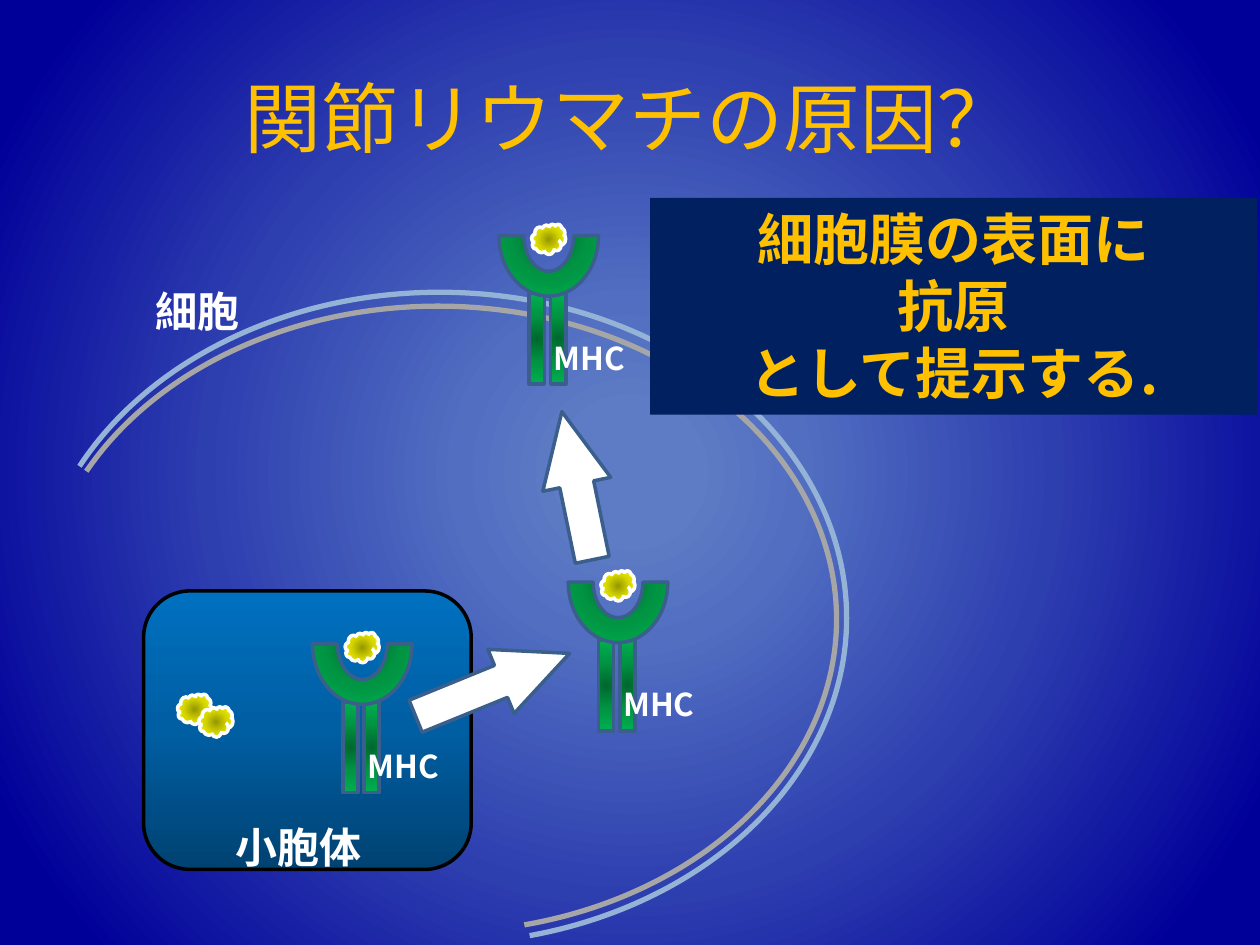
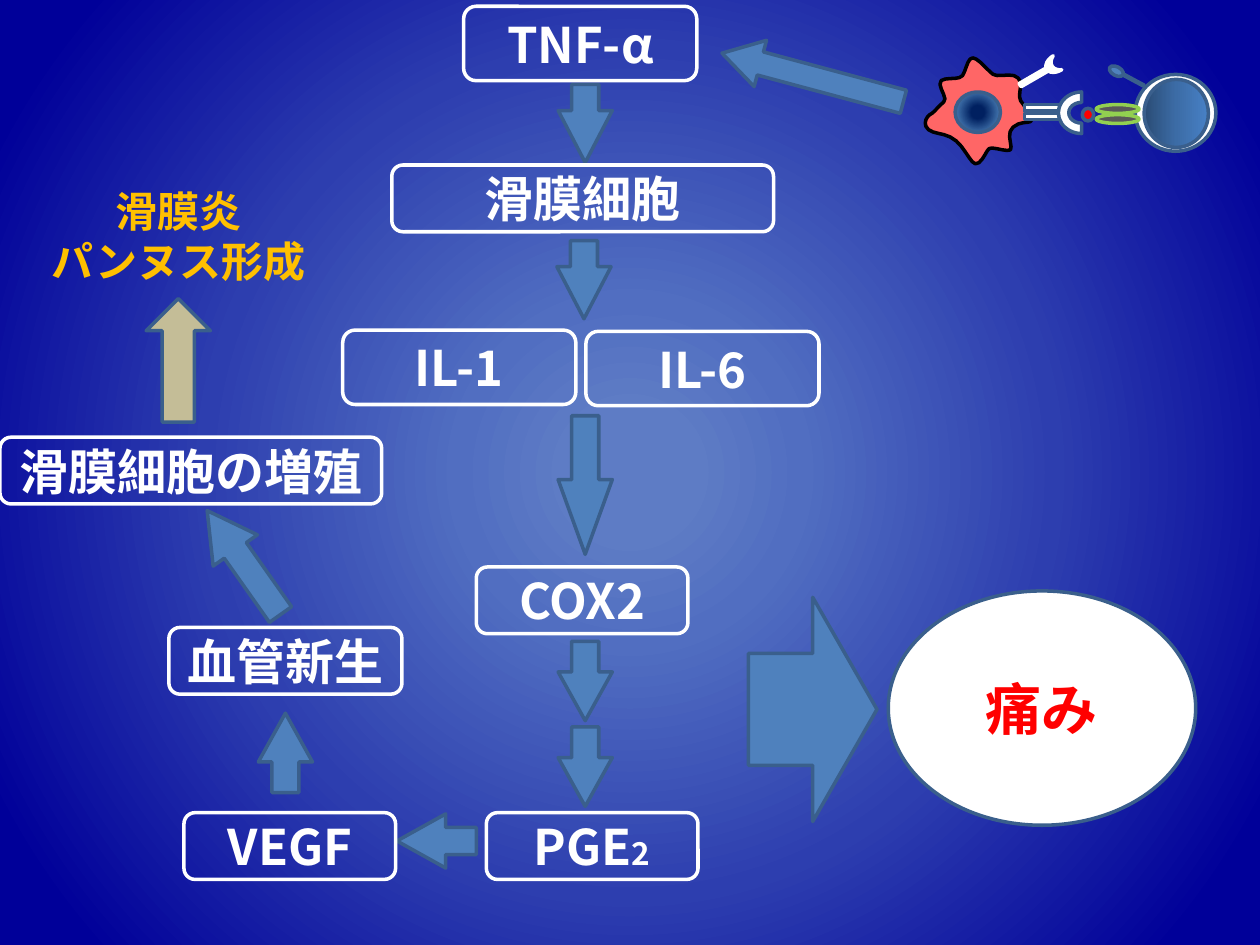
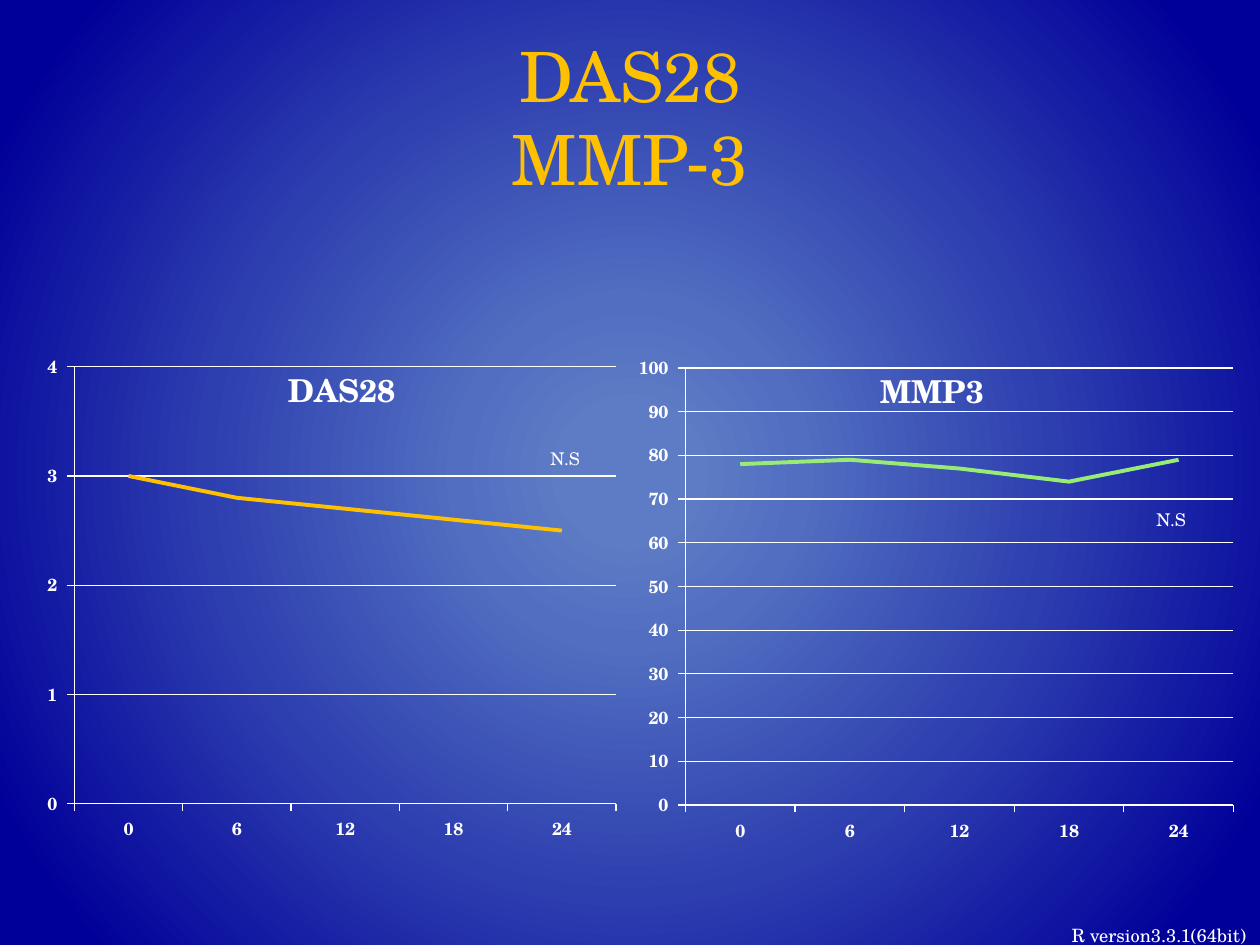
"""Build three slides on the causes and course of rheumatoid arthritis."""
import dataclasses
import typing

import pptx
import pptx.chart.data
import pptx.dml.color
import pptx.enum.chart
import pptx.enum.shapes
import pptx.enum.text
import pptx.oxml.ns
import pptx.oxml.xmlchemy
import pptx.util
from lxml import etree

KIND = pptx.enum.shapes.MSO_SHAPE
ALIGN = pptx.enum.text.PP_ALIGN
ANCHOR = pptx.enum.text.MSO_ANCHOR
FIT = pptx.enum.text.MSO_AUTO_SIZE
qn = pptx.oxml.ns.qn

GRID_COLUMNS, GRID_ROWS = 10, 7.5
CELL = pptx.util.Inches(1)


@dataclasses.dataclass(frozen=True)
class Gradient:
    """Colour stops, running along an angle or outward from the centre."""
    stops: tuple
    angle: typing.Optional[int] = None


@dataclasses.dataclass(frozen=True)
class Theme:
    """Colours, fonts and type sizes shared by the slides."""
    serif: str = "TeX Gyre Schola"
    sans: str = "Noto Sans CJK JP"
    gold: str = "FFC000"
    white: str = "FFFFFF"
    black: str = "000000"
    red: str = "FF0000"
    navy: str = "002060"
    blue: str = "4F81BD"
    outline: str = "3A5F8C"
    sand: str = "C4BD97"
    outer_membrane: str = "95B3D7"
    inner_membrane: str = "A6A6A6"
    macrophage: str = "FF6666"
    ring: str = "92D050"
    ring_core: str = "595959"
    mmp_line: str = "98EC76"
    background: Gradient = Gradient(((8, "5E7CC5"), (22, "516EC1"), (54, "2D3EAF"), (91, "000099")))
    receptor: Gradient = Gradient(((0, "00682F"), (50, "009443"), (100, "00B050")))
    peptide: Gradient = Gradient(((0, "979700"), (50, "D7D700"), (100, "FFFF00")))
    vesicle: Gradient = Gradient(((0, "004272"), (50, "005EA2"), (100, "0070C0")), 270)
    lymphocyte: Gradient = Gradient(((0, "2A4C75"), (50, "3C6CA6"), (100, "4780C5")), 180)
    nucleus: Gradient = Gradient(((21, "002060"), (67, "3C6CA6"), (100, "4780C5")))
    title_size: float = 44
    long_title_size: float = 39.6
    callout_size: float = 32
    step_size: float = 28
    label_size: float = 24
    small_size: float = 18
    note_size: float = 10.5
    chart_size: float = 10
    line_width: float = 2


THEME = Theme()

MACROPHAGE_START = (8.19, 0.95)
MACROPHAGE_CURVES = (
    (8.18, 0.99, 8.11, 0.95, 8.04, 1.01), (7.98, 1.06, 8.04, 1.16, 8.02, 1.19),
    (7.99, 1.21, 7.87, 1.16, 7.85, 1.18), (7.83, 1.19, 7.79, 1.31, 7.74, 1.3),
    (7.7, 1.29, 7.66, 1.18, 7.59, 1.12), (7.51, 1.05, 7.42, 1.07, 7.37, 1.03),
    (7.32, 0.99, 7.35, 0.93, 7.38, 0.91), (7.41, 0.9, 7.44, 0.85, 7.49, 0.81),
    (7.53, 0.78, 7.43, 0.68, 7.47, 0.64), (7.51, 0.61, 7.61, 0.64, 7.64, 0.6),
    (7.67, 0.55, 7.68, 0.46, 7.72, 0.46), (7.76, 0.46, 7.83, 0.55, 7.88, 0.59),
    (7.92, 0.62, 8.04, 0.57, 8.08, 0.62), (8.13, 0.66, 8.07, 0.75, 8.1, 0.8),
    (8.14, 0.86, 8.2, 0.92, 8.19, 0.95),
)


def rgb(colour):
    """Turn a hex string into a colour."""
    return pptx.dml.color.RGBColor.from_string(colour)


def span(*cells):
    """Convert grid cells to lengths."""
    return [round(CELL * count) for count in cells]


def paint(fill, owner, paint_choice):
    """Apply a colour, a gradient or no fill."""
    if paint_choice is None:
        fill.background()
    elif isinstance(paint_choice, Gradient):
        fill.gradient()
        gradient = owner.find(".//" + qn("a:gradFill"))
        for child in list(gradient):
            gradient.remove(child)
        stops = etree.SubElement(gradient, qn("a:gsLst"))
        for position, colour in paint_choice.stops:
            stop = etree.SubElement(stops, qn("a:gs"), pos=str(position * 1000))
            etree.SubElement(stop, qn("a:srgbClr"), val=colour)
        if paint_choice.angle is None:
            circle = etree.SubElement(gradient, qn("a:path"), path="circle")
            etree.SubElement(circle, qn("a:fillToRect"), {side: "50000" for side in "ltrb"})
        else:
            etree.SubElement(gradient, qn("a:lin"), ang=str(paint_choice.angle * 60000), scaled="0")
    else:
        fill.solid()
        fill.fore_color.rgb = rgb(paint_choice)


def finish(part, fill, line, width=THEME.line_width):
    """Give a shape its fill and outline, without a shadow."""
    part.shadow.inherit = False
    paint(part.fill, part.element, fill)
    paint(part.line.fill, part.element, line)
    if line:
        part.line.width = pptx.util.Pt(width)
    return part


def add_part(shapes, kind, box, fill=None, line=THEME.outline, turn=0, adjust=(), width=THEME.line_width):
    """Add a preset shape on the grid."""
    part = shapes.add_shape(kind, *span(*box))
    part.rotation = turn
    for index, value in enumerate(adjust):
        part.adjustments[index] = value
    return finish(part, fill, line, width)


def style_run(run, size, colour, font, bold):
    """Format one run, for Latin and Japanese letters alike."""
    run.font.size = pptx.util.Pt(size)
    run.font.bold = bold
    run.font.color.rgb = rgb(colour)
    run.font.name = font
    etree.SubElement(run.font._element, qn("a:ea"), typeface=THEME.sans)


def write(frame, text, size, colour=THEME.white, font=THEME.sans, bold=True,
          align=ALIGN.CENTER, anchor=ANCHOR.MIDDLE):
    """Fill a text frame and format it."""
    frame.text = text
    frame.word_wrap = True
    frame.vertical_anchor = anchor
    for paragraph in frame.paragraphs:
        paragraph.alignment = align
        for run in paragraph.runs:
            style_run(run, size, colour, font, bold)


def add_label(slide, box, text, size, anchor=ANCHOR.TOP, **style):
    """Add a free-standing label."""
    frame = slide.shapes.add_textbox(*span(*box)).text_frame
    write(frame, text, size, anchor=anchor, **style)
    frame.auto_size = FIT.SHAPE_TO_FIT_TEXT


def add_title(slide, text, size):
    """Place and format the slide title."""
    title = slide.shapes.title
    title.left, title.top, title.width, title.height = span(0.5, 0.3, 9, 1.25)
    write(title.text_frame, text, size, THEME.gold, THEME.serif, False)
    title.text_frame.auto_size = FIT.NONE


def add_peptide(slide, left, top):
    """Add one antigen peptide."""
    add_part(slide.shapes, KIND.CLOUD, (left, top, 0.27, 0.24), THEME.peptide, THEME.white)


def add_mhc(slide, left, top):
    """Add an MHC molecule that holds a peptide."""
    add_peptide(slide, left + 0.26, top + 0.39)
    molecule = slide.shapes.add_group_shape().shapes
    for leg in (0.11, -0.06):
        add_part(molecule, KIND.RECTANGLE, (left + leg, top + 1.24, 0.72, 0.12), THEME.receptor, turn=90)
    add_part(molecule, KIND.BLOCK_ARC, (left, top, 0.79, 0.96), THEME.receptor, turn=180)
    add_label(slide, (left + 0.32, top + 1.25, 0.8, 0.4), "MHC", THEME.small_size)


def add_step(slide, box, text):
    """Add a framed step of the cascade."""
    step = add_part(slide.shapes, KIND.ROUNDED_RECTANGLE, box, line=THEME.white)
    write(step.text_frame, text, THEME.step_size)
    return step


def add_macrophage(slide):
    """Add the star-shaped cell, its nucleus and its receptors."""
    shapes = slide.shapes
    points, start = [], MACROPHAGE_START
    for x1, y1, x2, y2, x3, y3 in MACROPHAGE_CURVES:
        for t in (0.2, 0.4, 0.6, 0.8, 1):
            u = 1 - t
            weights = (u ** 3, 3 * u * u * t, 3 * u * t * t, t ** 3)
            xs, ys = (start[0], x1, x2, x3), (start[1], y1, y2, y3)
            points.append(span(*(sum(w * v for w, v in zip(weights, axis)) for axis in (xs, ys))))
        start = (x3, y3)
    outline = shapes.build_freeform(*span(*MACROPHAGE_START), scale=1.0)
    outline.add_line_segments(points, close=True)
    finish(outline.convert_to_shape(), THEME.macrophage, THEME.black)
    for top in (0.9, 0.83):
        add_part(shapes, KIND.RECTANGLE, (8.13, top, 0.28, 0.05), THEME.white, turn=180)
    add_part(shapes, KIND.BLOCK_ARC, (8.42, 0.71, 0.33, 0.37), THEME.white, turn=270)
    receptor = shapes.add_group_shape().shapes
    add_part(receptor, KIND.MOON, (8.3, 0.46, 0.1, 0.13), THEME.white, THEME.white, 328.4)
    add_part(receptor, KIND.RECTANGLE, (8.08, 0.6, 0.24, 0.03), THEME.white, THEME.white, 150)
    add_part(shapes, KIND.OVAL, (7.58, 0.73, 0.36, 0.32), THEME.nucleus, turn=180)


def add_lymphocyte(slide):
    """Add the round cell, its receptors and the antigen it meets."""
    shapes = slide.shapes
    add_part(shapes, KIND.OVAL, (9.01, 0.59, 0.64, 0.61), THEME.white, turn=180)
    add_part(shapes, KIND.OVAL, (9.08, 0.63, 0.51, 0.54), THEME.lymphocyte, turn=180)
    for top in (0.91, 0.83):
        add_part(shapes, KIND.OVAL, (8.7, top, 0.34, 0.07), THEME.ring_core, THEME.ring, 180)
    receptor = shapes.add_group_shape().shapes
    add_part(receptor, KIND.RECTANGLE, (8.9, 0.63, 0.19, 0.01), THEME.blue, turn=208.2)
    add_part(receptor, KIND.OVAL, (8.8, 0.53, 0.12, 0.07), THEME.blue, turn=208.2)
    add_part(shapes, KIND.OVAL, (8.59, 0.86, 0.09, 0.1), THEME.red, turn=180)


def lay_out(parent, index, **places):
    """Fix the place of a chart part as shares of the chart."""
    for old in parent.findall(qn("c:layout")):
        parent.remove(old)
    layout = pptx.oxml.xmlchemy.OxmlElement("c:layout")
    parent.insert(index, layout)
    manual = etree.SubElement(layout, qn("c:manualLayout"))
    for name, value in places.items():
        etree.SubElement(manual, qn("c:" + name), val=str(value))


def add_trend(slide, box, name, values, colour, top_value, step, plot_box):
    """Add a line chart of one measure over the weeks."""
    figures = pptx.chart.data.CategoryChartData()
    figures.categories = ["0", "6", "12", "18", "24"]
    figures.add_series(name, values)
    chart = slide.shapes.add_chart(pptx.enum.chart.XL_CHART_TYPE.LINE, *span(*box), figures).chart
    chart.has_legend = False
    chart.font.size = pptx.util.Pt(THEME.chart_size)
    chart.font.bold = True
    chart.font.name = THEME.serif
    chart.font.color.rgb = rgb(THEME.white)
    chart.has_title = True
    write(chart.chart_title.text_frame, name, THEME.small_size, font=THEME.serif)
    lay_out(chart.chart_title._element, 1, xMode="edge", yMode="edge", x=0.41, y=0.06)
    left, top, width, height = plot_box
    lay_out(chart.element.find(".//" + qn("c:plotArea")), 0, layoutTarget="inner",
            xMode="edge", yMode="edge", x=left, y=top, w=width, h=height)
    scale, weeks = chart.value_axis, chart.category_axis
    scale.minimum_scale, scale.maximum_scale, scale.major_unit = 0, top_value, step
    scale.has_major_gridlines = True
    scale.tick_labels.number_format = r"#,##0_);[Red]\(#,##0\)"
    scale.tick_labels.number_format_is_linked = False
    for ruled in (scale, weeks, scale.major_gridlines):
        ruled.format.line.color.rgb = rgb(THEME.white)
        ruled.format.line.width = pptx.util.Pt(0.75)
    for axis in (scale, weeks):
        axis.major_tick_mark = pptx.enum.chart.XL_TICK_MARK.OUTSIDE
    chart.plots[0].vary_by_categories = False
    measure = chart.plots[0].series[0]
    measure.smooth = False
    measure.marker.style = pptx.enum.chart.XL_MARKER_STYLE.NONE
    measure.format.line.color.rgb = rgb(colour)
    measure.format.line.width = pptx.util.Pt(2.25)


def build_cause(slide):
    """Show how the cell presents an antigen."""
    shapes = slide.shapes
    add_part(shapes, KIND.ROUNDED_RECTANGLE, (1.14, 4.69, 2.6, 2.21), THEME.vesicle, THEME.black)
    add_label(slide, (1.27, 6.47, 2.2, 0.5), "小胞体", THEME.label_size, font=THEME.serif)
    for left, top in ((1.41, 5.51), (1.58, 5.61)):
        add_peptide(slide, left, top)
    add_title(slide, "関節リウマチの原因？", THEME.title_size)
    for box, colour in (((0.26, 2.32, 6.46, 5.17), THEME.outer_membrane),
                        ((0.31, 2.43, 6.33, 4.97), THEME.inner_membrane)):
        add_part(shapes, KIND.ARC, box, line=colour, adjust=(121.7, 44.51), width=3)
    add_label(slide, (0.47, 2.22, 2.2, 0.5), "細胞", THEME.label_size, font=THEME.serif)
    for left, top in ((2.48, 4.63), (4.51, 4.14), (3.96, 1.39)):
        add_mhc(slide, left, top)
    for box, turn in (((3.25, 5.16, 1.32, 0.55), 337.8), ((3.98, 3.58, 1.2, 0.55), 258.4)):
        add_part(shapes, KIND.RIGHT_ARROW, box, THEME.white, turn=turn, adjust=(0.5, 1.07))
    callout = add_part(shapes, KIND.RECTANGLE, (5.16, 1.57, 4.82, 1.72), THEME.navy, None)
    write(callout.text_frame, "細胞膜の表面に\n抗原\nとして提示する.", THEME.callout_size, THEME.gold,
          anchor=ANCHOR.TOP)


def build_cascade(slide):
    """Show the cascade from TNF-α to pain and pannus."""
    shapes = slide.shapes
    arrows = (
        (4.43, 0.67, 0.62, 0, 0.96), (4.42, 1.91, 0.62, 0, 0.96), (4.43, 3.3, 1.1, 0, 1.38),
        (4.43, 5.09, 0.63, 0, 0.9), (4.43, 5.77, 0.63, 0, 0.9), (3.25, 6.36, 0.63, 90, 0.9),
        (2.05, 5.66, 0.63, 180, 0.9), (1.72, 3.96, 1.01, 144.8, 0.9),
    )
    for left, top, length, turn, head in arrows:
        add_part(shapes, KIND.DOWN_ARROW, (left, top, 0.43, length), THEME.blue, turn=turn, adjust=(0.5, head))
    steps = (
        ("TNF-α", 3.68, 0.05, 1.85, 0.59), ("滑膜細胞", 3.11, 1.31, 3.03, 0.53),
        ("IL-1", 2.72, 2.62, 1.85, 0.59), ("IL-6", 4.65, 2.63, 1.85, 0.59),
        ("COX2", 3.78, 4.5, 1.68, 0.53), ("VEGF", 1.46, 6.45, 1.68, 0.53),
        ("血管新生", 1.34, 4.98, 1.85, 0.53), ("滑膜細胞の増殖", 0, 3.47, 3.03, 0.53),
    )
    for text, *box in steps:
        add_step(slide, box, text)
    prostaglandin = add_step(slide, (3.86, 6.45, 1.68, 0.53), "PGE")
    index_run = prostaglandin.text_frame.paragraphs[0].add_run()
    index_run.text = "2"
    style_run(index_run, THEME.small_size, THEME.white, THEME.sans, True)
    pain = add_part(shapes, KIND.OVAL, (7.05, 4.69, 2.44, 1.86), THEME.white)
    write(pain.text_frame, "痛み", THEME.callout_size, THEME.red, THEME.serif)
    add_part(shapes, KIND.RIGHT_ARROW, (5.94, 4.74, 1.02, 1.78), THEME.blue)
    add_part(shapes, KIND.UP_ARROW, (1.16, 2.37, 0.51, 0.98), THEME.sand)
    add_label(slide, (0.04, 1.42, 2.76, 0.91), "滑膜炎\nパンヌス形成", THEME.label_size, colour=THEME.gold)
    add_part(shapes, KIND.UP_ARROW, (6.26, -0.13, 0.38, 1.49), THEME.blue, turn=285, adjust=(0.5, 0.83))
    add_macrophage(slide)
    add_lymphocyte(slide)


def build_results(slide):
    """Show DAS28 and MMP-3 over the weeks."""
    add_title(slide, "DAS28\vMMP-3", THEME.long_title_size)
    add_trend(slide, (0.19, 2.56, 5, 4.39), "DAS28", (3, 2.8, 2.7, 2.6, 2.5), THEME.gold, 4, 1,
              (0.08, 0.08, 0.86, 0.79))
    add_trend(slide, (4.89, 2.57, 5, 4.39), "MMP3", (78, 79, 77, 74, 79), THEME.mmp_line, 100, 10,
              (0.11, 0.08, 0.87, 0.79))
    plain = {"font": THEME.serif, "bold": False}
    for left, top in ((4.21, 3.51), (9.02, 3.99)):
        add_label(slide, (left, top, 0.55, 0.27), "N.S", THEME.chart_size, **plain)
    add_label(slide, (7.08, 7.27, 2.91, 0.29), "R version3.3.1(64bit)", THEME.note_size,
              align=ALIGN.RIGHT, anchor=ANCHOR.BOTTOM, **plain)


def main():
    """Build and save the presentation."""
    deck = pptx.Presentation()
    deck.slide_width, deck.slide_height = span(GRID_COLUMNS, GRID_ROWS)
    master = deck.slide_master
    paint(master.background.fill, master.element, THEME.background)
    title_only, blank = deck.slide_layouts[5], deck.slide_layouts[6]
    for build, layout in ((build_cause, title_only), (build_cascade, blank), (build_results, title_only)):
        build(deck.slides.add_slide(layout))
    deck.save("out.pptx")


if __name__ == "__main__":
    main()
